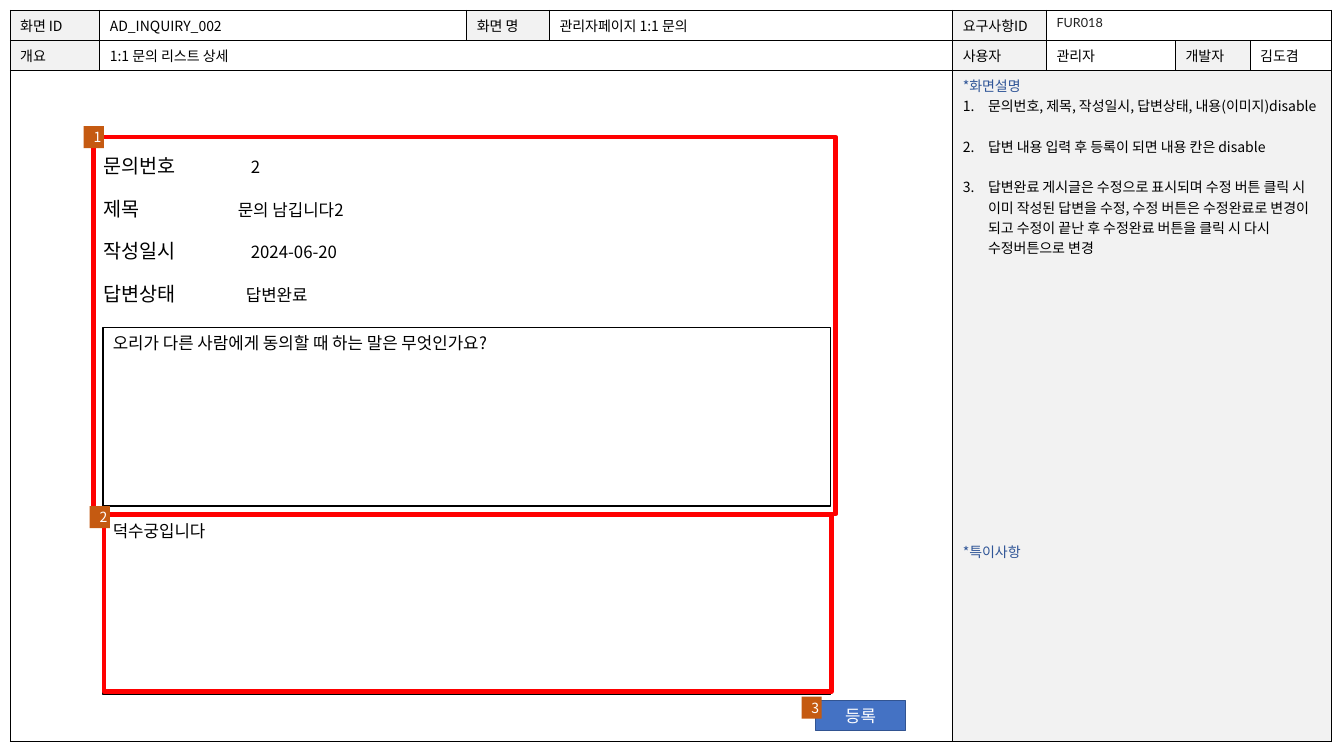
import pptx
import pptx.dml.color
import pptx.enum.shapes
import pptx.enum.text
import pptx.oxml
import pptx.oxml.ns
import pptx.util
from lxml import etree

FONT = "Noto Sans CJK KR"
BLACK, WHITE, GREY = "000000", "FFFFFF", "F2F2F2"
RED, ORANGE, BLUE, NAVY = "FF0000", "C55A11", "4472C4", "2F5597"
LINE_PITCH = 14.5  # points, one line of 10 pt text

COLUMNS = [0.89, 3.64, 0.82, 4, 0.93, 1.28, 0.74, 0.81]
ROWS = [0.3, 0.3, 6.65]
# row, column, columns spanned, text, is a heading
HEADER_CELLS = [
    (0, 0, 1, "화면 ID", True),
    (0, 1, 1, "AD_INQUIRY_002", False),
    (0, 2, 1, "화면 명", True),
    (0, 3, 1, "관리자페이지 1:1 문의", False),
    (0, 4, 1, "요구사항ID", True),
    (0, 5, 3, "FUR018", False),
    (1, 0, 1, "개요", True),
    (1, 1, 3, "1:1 문의 리스트 상세", False),
    (1, 4, 1, "사용자", True),
    (1, 5, 1, "관리자", False),
    (1, 6, 1, "개발자", True),
    (1, 7, 1, "김도겸", False),
]
NOTES = [
    "문의번호, 제목, 작성일시, 답변상태, 내용(이미지)disable",
    "답변 내용 입력 후 등록이 되면 내용 칸은 disable",
    "답변완료 게시글은 수정으로 표시되며 수정 버튼 클릭 시 이미 작성된 답변을 수정, "
    "수정 버튼은 수정완료로 변경이 되고 수정이 끝난 후 수정완료 버튼을 클릭 시 다시 수정버튼으로 변경",
]
# label, value, distance of the value from the label's left edge
FIELDS = [
    ("문의번호", "2", 1.46),
    ("제목", "문의 남깁니다2", 1.33),
    ("작성일시", "2024-06-20", 1.46),
    ("답변상태", "답변완료", 1.41),
]


def inches(*values):
    return [pptx.util.Inches(value) for value in values]


def color(code):
    return pptx.dml.color.RGBColor.from_string(code)


def add_xml(parent, tag, **attributes):
    return etree.SubElement(parent, pptx.oxml.ns.qn(tag), attributes)


def set_font(font, size, code=BLACK, name=FONT):
    font.size = pptx.util.Pt(size)
    font.color.rgb = color(code)
    font.name = name
    add_xml(font._element, "a:ea", typeface=name)


def write(para, text, size, code=BLACK, name=FONT):
    para.text = text
    set_font(para.font, size, code, name)


def paint_cell(cell, fill):
    cell.fill.solid()
    cell.fill.fore_color.rgb = color(fill)
    properties = cell._tc.get_or_add_tcPr()
    for position, side in enumerate(("a:lnL", "a:lnR", "a:lnT", "a:lnB")):
        line = pptx.oxml.parse_xml(
            f'<{side} {pptx.oxml.ns.nsdecls("a")} w="6350"><a:solidFill>'
            f'<a:srgbClr val="{BLACK}"/></a:solidFill></{side}>')
        properties.insert(position, line)


def add_notes(frame):
    write(frame.paragraphs[0], "*화면설명", 10, NAVY)
    for index, note in enumerate(NOTES):
        para = frame.add_paragraph()
        write(para, note, 10)
        if index:
            para.space_before = pptx.util.Pt(LINE_PITCH)
        properties = para._p.get_or_add_pPr()
        properties.set("marL", str(pptx.util.Inches(0.25)))
        properties.set("indent", str(pptx.util.Inches(-0.25)))
        number = pptx.oxml.parse_xml(
            f'<a:buAutoNum {pptx.oxml.ns.nsdecls("a")} type="arabicPeriod"/>')
        properties.insert(list(properties).index(para.font._element), number)
    para = frame.add_paragraph()
    write(para, "*특이사항", 10, NAVY)
    para.space_before = pptx.util.Pt(14 * LINE_PITCH)


def add_frame_table(page, left, top):
    graphic = page.shapes.add_table(len(ROWS), len(COLUMNS), *inches(
        left, top, sum(COLUMNS), sum(ROWS)))
    table = graphic.table
    table.first_row = table.horz_banding = False
    for column, width in zip(table.columns, COLUMNS):
        column.width = pptx.util.Inches(width)
    for row, height in zip(table.rows, ROWS):
        row.height = pptx.util.Inches(height)
    for cell in table.iter_cells():
        paint_cell(cell, WHITE)
        set_font(cell.text_frame.paragraphs[0].font, 10)

    # Screen details
    for row, column, span, text, heading in HEADER_CELLS:
        cell = table.cell(row, column)
        if span > 1:
            cell.merge(table.cell(row, column + span - 1))
        cell.fill.fore_color.rgb = color(GREY if heading else WHITE)
        para = cell.text_frame.paragraphs[0]
        if text == "FUR018":
            write(para, text, 9, "1F1F1F", "Lato")
        else:
            write(para, text, 10)

    # Screen area and description
    for column in (0, 4):
        table.cell(2, column).merge(table.cell(2, column + 3))
    description = table.cell(2, 4)
    description.fill.fore_color.rgb = color(GREY)
    add_notes(description.text_frame)


def add_box(page, box, fill=None, line=None, weight=1, text="", size=12,
            code=WHITE, centred=True):
    shape = page.shapes.add_shape(
        pptx.enum.shapes.MSO_SHAPE.RECTANGLE, *inches(*box))
    shape.shadow.inherit = False
    if fill:
        shape.fill.solid()
        shape.fill.fore_color.rgb = color(fill)
    else:
        shape.fill.background()
    if line:
        shape.line.color.rgb = color(line)
        shape.line.width = pptx.util.Pt(weight)
    else:
        shape.line.fill.background()
    if text:
        anchor, align = pptx.enum.text.MSO_ANCHOR, pptx.enum.text.PP_ALIGN
        para = shape.text_frame.paragraphs[0]
        write(para, text, size, code)
        para.alignment = align.CENTER if centred else align.LEFT
        shape.text_frame.vertical_anchor = anchor.MIDDLE if centred else anchor.TOP


def add_marker(page, left, top, number):
    add_box(page, (left, top, 0.2, 0.22), ORANGE, text=str(number), size=10)


def add_fields(page, left, top, width, height):
    pitch = height / len(FIELDS)
    for index, (label, value, offset) in enumerate(FIELDS):
        field = page.shapes.add_textbox(*inches(
            left, top + index * pitch, width, 0.41))
        frame = field.text_frame
        frame.word_wrap = True
        frame.auto_size = pptx.enum.text.MSO_AUTO_SIZE.SHAPE_TO_FIT_TEXT
        para = frame.paragraphs[0]
        for text, size in ((label, 14), ("\t", 18), (value, 12)):
            span = para.add_run()
            span.text = text
            set_font(span.font, size)
        tabs = add_xml(para._p.get_or_add_pPr(), "a:tabLst")
        add_xml(tabs, "a:tab", pos=str(pptx.util.Inches(offset)), algn="l")


def add_inquiry(page, left, top):
    add_fields(page, left, top + 0.06, 5.05, 1.7)
    # Question and answer
    texts = ("오리가 다른 사람에게 동의할 때 하는 말은 무엇인가요?", "덕수궁입니다")
    for index, text in enumerate(texts):
        add_box(page, (left + 0.09, top + 1.89 + index * 1.87, 7.22, 1.77),
                WHITE, BLACK, text=text, code=BLACK, centred=False)
    # Numbered areas and the submit button
    add_box(page, (left, top, 7.36, 3.74), line=RED, weight=3.25)
    add_marker(page, left - 0.1, top - 0.11, 1)
    add_box(page, (left + 7.16, top + 5.59, 0.89, 0.3), BLUE, "325491", text="등록")
    add_marker(page, left + 7.02, top + 5.55, 3)
    add_box(page, (left + 0.1, top + 3.75, 7.22, 1.75), line=RED, weight=3.25)
    add_marker(page, left - 0.04, top + 3.66, 2)


def main():
    deck = pptx.Presentation()
    deck.slide_width, deck.slide_height = inches(13.33, 7.5)
    page = deck.slides.add_slide(deck.slide_layouts[6])
    add_frame_table(page, 0.1, 0.1)
    add_inquiry(page, 0.93, 1.36)
    deck.save("out.pptx")


if __name__ == "__main__":
    main()
